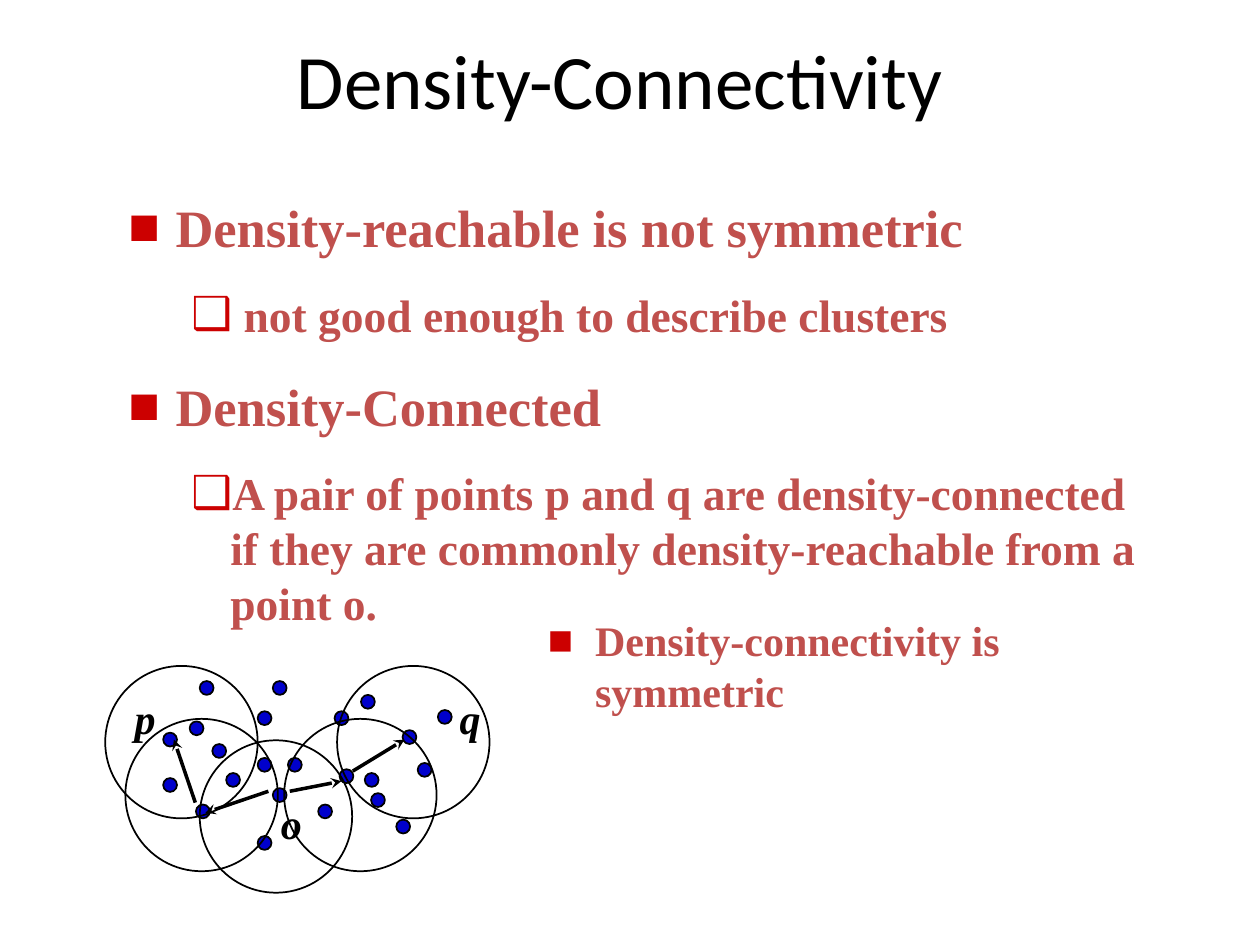
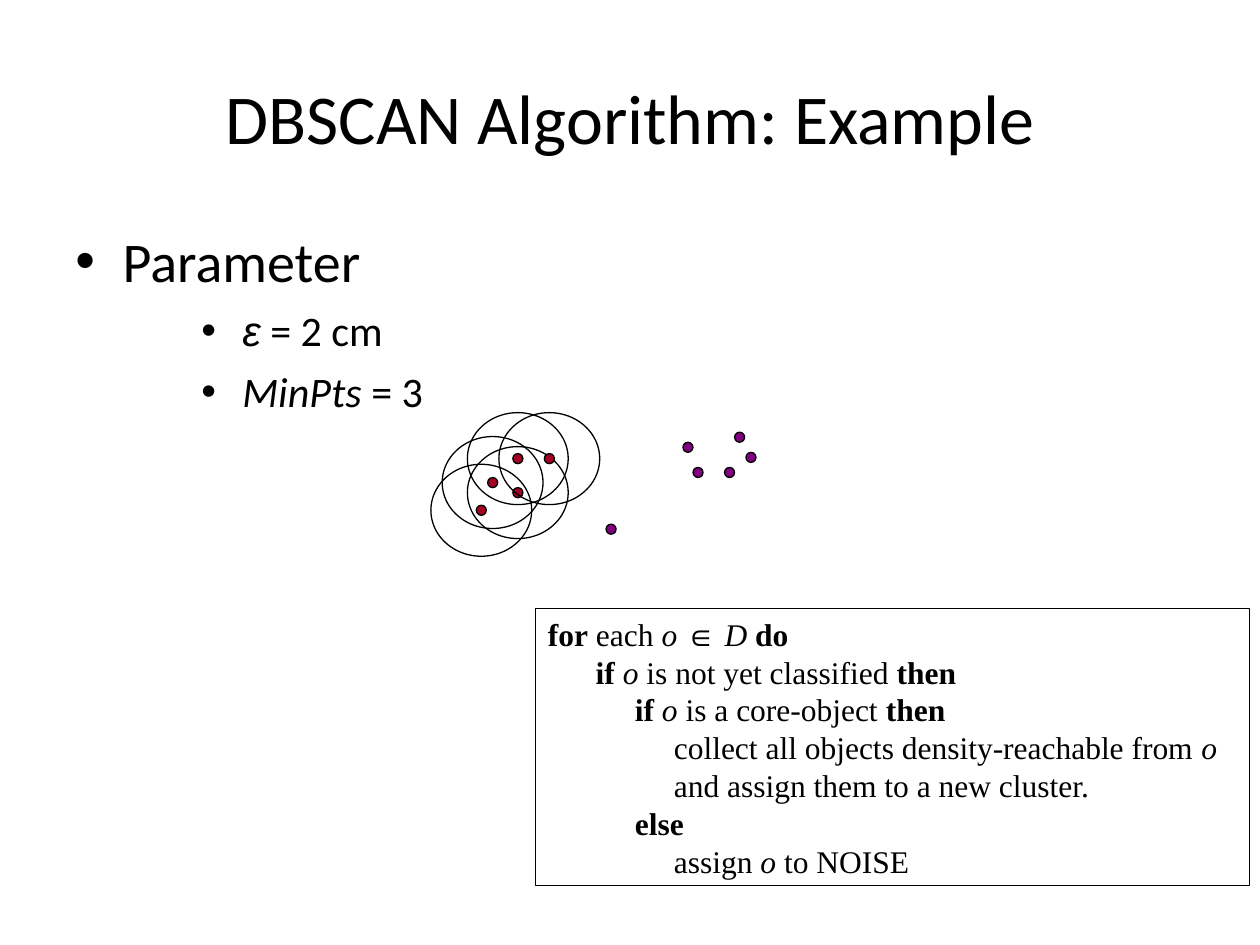
from pptx import Presentation, util as u
from pptx.dml.color import RGBColor
from pptx.enum import shapes, text
from pptx.oxml.ns import qn
from lxml import etree

# The slide is a grid of 100 columns by 75 rows.
COLS, ROWS = 100, 75
CELL = u.Inches(0.1)

HUES = {
    "ink": "000000", "head": "C0504D", "mark": "CC0000",
    "blue": "0000CC", "plum": "800080", "wine": "A50021",
}
SANS, SERIF = "Calibri", "Times New Roman"

# Dots and rings are given by their centres.
DOTS = [
    (17.4, 59.6), (21, 60.7), (21, 57), (16.1, 64.4), (18.5, 61.9),
    (21, 66.9), (22.2, 63.1), (22.2, 54.6), (29.5, 61.9), (27.1, 57),
    (13.5, 62.3), (23.4, 60.7), (25.8, 64.4), (32, 65.6), (33.7, 61.1),
    (27.5, 61.6), (30, 63.5), (35.3, 56.9), (29.2, 55.7), (32.5, 58.5),
    (15.6, 57.8), (13.5, 58.7), (16.4, 54.6),
]
RINGS = [(16, 63.1), (21.9, 64.8), (28.6, 63.1), (32.8, 58.9), (14.4, 58.9)]
STEPS = [
    (21.3, 62.8, 16.3, 64.5), (23, 62.8, 27.1, 62),
    (15.5, 63.7, 13.8, 58.7), (28, 61.2, 32.1, 58.7),
]
NAMES = {"p": (9.7, 54.5), "q": (35.5, 54.5), "o": (21.3, 62.8)}
CORES = [(38.2, 40.5), (39.1, 38.3), (41.1, 36.4), (41.1, 39.1), (43.6, 36.4)]
LOOSE = [
    (55.4, 37.5), (54.6, 35.5), (57.9, 37.5),
    (59.6, 36.3), (58.7, 34.7), (48.5, 42),
]

# Each line of code: its depth, then runs of (words, style).
CODE = [
    (0, [("for", "b"), (" each ", ""), ("o ", "i"), ("∈", "m"), (" D ", "i"), ("do", "b")]),
    (1, [("if ", "b"), ("o", "i"), (" is not yet classified ", ""), ("then", "b")]),
    (2, [("if ", "b"), ("o", "i"), (" is a core-object ", ""), ("then", "b")]),
    (3, [("collect all objects density-reachable from ", ""), ("o", "i")]),
    (3, [("and assign them to a new cluster.", "")]),
    (2, [("else", "b")]),
    (3, [("assign ", ""), ("o", "i"), (" to NOISE", "")]),
]


def cells(*nums):
    return [round(n * CELL) for n in nums]


def rgb(hue):
    return RGBColor.from_string(HUES[hue])


def write(par, runs, size, font=SANS, hue="ink", bold=False, lead=None, gap=0):
    """Fill a paragraph; runs is a string or (words, style) pairs: b, i, m (symbol)."""
    if isinstance(runs, str):
        runs = [(runs, "")]
    par.space_before = u.Pt(gap)
    if lead:
        par.line_spacing = u.Pt(round(size * lead, 1))
    for words, style in runs:
        run = par.add_run()
        run.text = words
        run.font.size = u.Pt(size)
        run.font.name = "Arial" if "m" in style else font
        run.font.bold = bold or "b" in style
        run.font.italic = "i" in style
        run.font.color.rgb = rgb(hue)


def indent(par, left, hang=0, sign=None, hue="ink"):
    """Set the left margin and hanging indent, with a bullet if a sign is given."""
    props = par._p.get_or_add_pPr()
    props.set("marL", str(cells(left)[0]))
    props.set("indent", str(-cells(hang)[0]))
    if sign:
        tone = etree.SubElement(props, qn("a:buClr"))
        etree.SubElement(tone, qn("a:srgbClr")).set("val", HUES[hue])
        etree.SubElement(props, qn("a:buFont")).set("typeface", "Arial")
        etree.SubElement(props, qn("a:buChar")).set("char", sign)


def text_box(slide, *area):
    frame = slide.shapes.add_textbox(*cells(*area)).text_frame
    frame.word_wrap = True
    return frame


def pars(frame, items):
    """Pair each item with a paragraph of its own."""
    for n, item in enumerate(items):
        yield frame.add_paragraph() if n else frame.paragraphs[0], item


def add_slide(deck, title, size, *area):
    slide = deck.slides.add_slide(deck.slide_layouts[5])
    head = slide.shapes.title
    head.left, head.top, head.width, head.height = cells(*area)
    head.text_frame.vertical_anchor = text.MSO_ANCHOR.MIDDLE
    par = head.text_frame.paragraphs[0]
    par.alignment = text.PP_ALIGN.CENTER
    write(par, title, size)
    return slide


def outline(slide, kind, area, line, fill=None):
    shape = slide.shapes.add_shape(kind, *cells(*area))
    shape.shadow.inherit = False
    shape.line.color.rgb = rgb("ink")
    shape.line.width = u.Pt(line)
    if fill:
        shape.fill.solid()
        shape.fill.fore_color.rgb = rgb(fill)
    else:
        shape.fill.background()
    return shape


def disc(slide, mid, wide, high, line, fill=None):
    x, y = mid
    area = (x - wide / 2, y - high / 2, wide, high)
    outline(slide, shapes.MSO_SHAPE.OVAL, area, line, fill)


def arrow(slide, *ends):
    link = slide.shapes.add_connector(shapes.MSO_CONNECTOR.STRAIGHT, *cells(*ends))
    link.line.color.rgb = rgb("ink")
    link.line.width = u.Pt(2)
    etree.SubElement(link.line._get_or_add_ln(), qn("a:tailEnd")).set("type", "stealth")
    etree.SubElement(link._element.spPr, qn("a:effectLst"))


def red_list(frame, items):
    """Write (level, words, size, gap) items as bold red bullets."""
    for par, (level, words, size, gap) in pars(frame, items):
        par.level = level
        write(par, words, size, font=SERIF, hue="head", bold=True, lead=1.2, gap=gap)
        left, hang, sign = [(3.75, 3.75, "■"), (8.1, 3.1, "❑")][level]
        indent(par, left, hang, sign, "mark")


def chain(slide):
    """Draw the points p and q, both reached from o."""
    for mid in DOTS:
        disc(slide, mid, 1.1, 1.1, 1, "blue")
    for mid in RINGS:
        disc(slide, mid, 12.1, 12.1, 1)
    for ends in STEPS:
        arrow(slide, *ends)
    for name, (x, y) in NAMES.items():
        par = text_box(slide, x, y, 4.2, 5).paragraphs[0]
        write(par, [(name, "i")], 24, font=SERIF, bold=True, lead=1.2)


def connect_slide(deck):
    slide = add_slide(deck, "Density-Connectivity", 44, 6.7, 0, 85, 12.5)
    red_list(text_box(slide, 9.2, 15, 83.8, 45), [
        (0, "Density-reachable is not symmetric", 30, 18.7),
        (1, " not good enough to describe clusters", 26, 16.2),
        (0, "Density-Connected", 30, 18.7),
        (1, "A pair of points p and q are density-connected if they are "
            "commonly density-reachable from a point o.", 26, 16.2),
    ])
    chain(slide)
    red_list(text_box(slide, 42.5, 48.3, 50, 12.5),
             [(0, "Density-connectivity is symmetric", 24, 6)])


def code_box(slide):
    area = (42.5, 48.3, 56.7, 22)
    box = outline(slide, shapes.MSO_SHAPE.RECTANGLE, area, 0.75)
    frame = box.text_frame
    frame.word_wrap = True
    frame.vertical_anchor = text.MSO_ANCHOR.TOP
    for par, (depth, runs) in pars(frame, CODE):
        par.alignment = text.PP_ALIGN.LEFT
        write(par, runs, 18, font=SERIF, lead=1.2)
        indent(par, 0.7 + 3.1 * depth if depth else 0)


def example_slide(deck):
    slide = add_slide(deck, "DBSCAN Algorithm: Example", 40, 5, 3, 90, 12.5)
    items = [
        (0, "Parameter", 32, 8),
        (2, [(" ", ""), ("ε", "im"), (" = 2 cm", "")], 24, 6),
        (2, [(" ", ""), ("MinPts", "i"), (" = 3", "")], 24, 6),
    ]
    for par, (level, runs, size, gap) in pars(text_box(slide, 5, 17.5, 90, 49.5), items):
        par.level = level
        write(par, runs, size, gap=gap)
        left, hang = (12.5, 2.5) if level else (3.75, 3.75)
        indent(par, left, hang, "•")
    for mid in LOOSE:
        disc(slide, mid, 0.8, 0.8, 0.75, "plum")
    for mid in CORES:
        disc(slide, mid, 8, 7.3, 0.75)
        disc(slide, mid, 0.8, 0.8, 0.75, "wine")
    code_box(slide)


def main():
    deck = Presentation()
    deck.slide_width, deck.slide_height = cells(COLS, ROWS)
    connect_slide(deck)
    example_slide(deck)
    deck.save("out.pptx")


if __name__ == "__main__":
    main()
